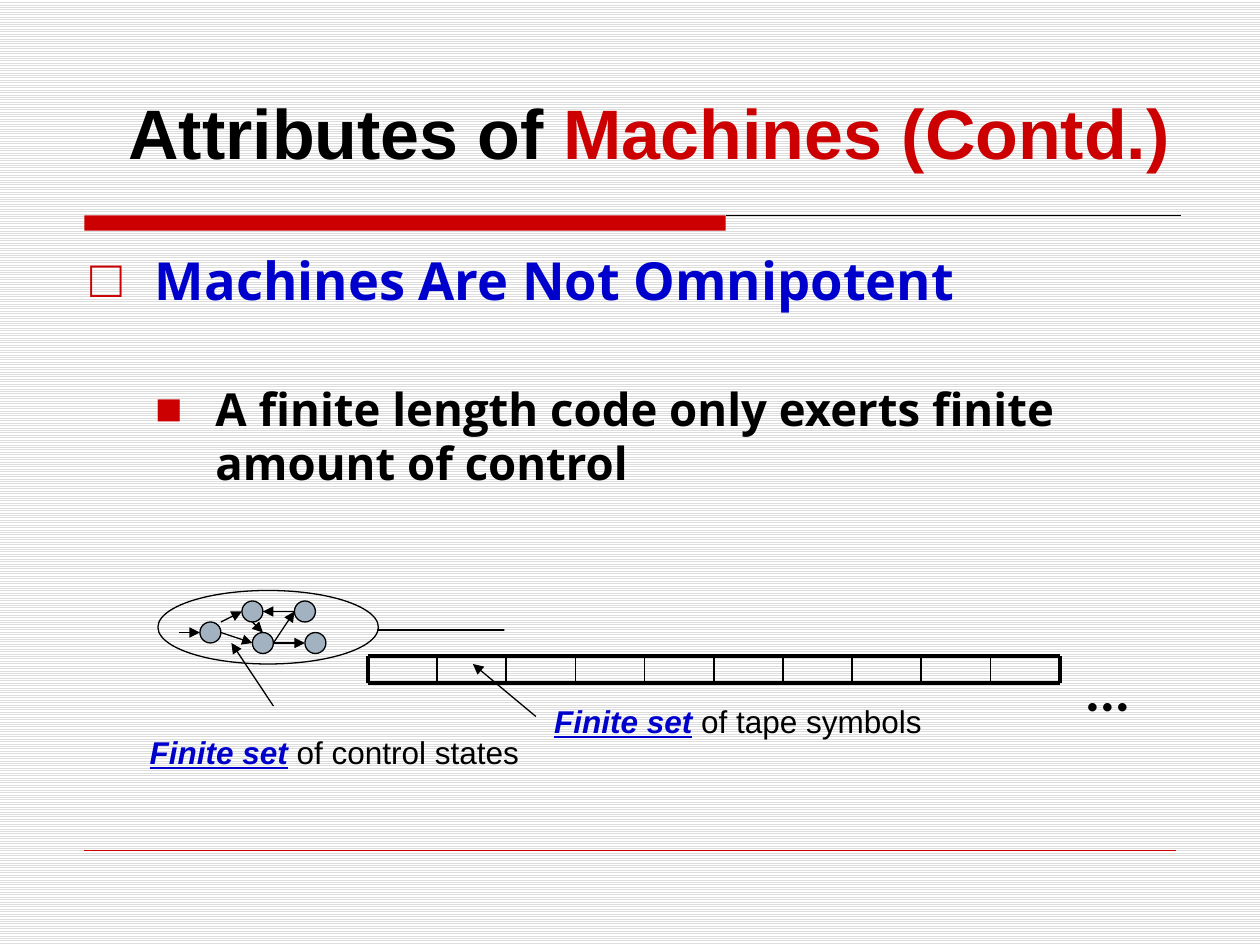
from dataclasses import dataclass
from lxml import etree
from pptx import Presentation, util as u
from pptx.dml.color import RGBColor
from pptx.enum import dml, shapes, text
from pptx.oxml import ns

RED, BLUE, BLACK = "CC0000", "0000CC", "000000"
UNIT, LEFT, TOP = 1 / 12, 1.42, 4.77


@dataclass
class Node:
    col: int
    row: int


@dataclass
class Arrow:
    start: tuple[int, int]
    end: tuple[int, int]


@dataclass
class Label:
    left: float
    top: float
    width: float
    tail: str


@dataclass
class Item:
    words: str
    level: int
    size: int
    pitch: float
    gap: int
    color: str
    margin: float
    hang: float
    mark: str


NODES = [Node(2, 2), Node(6, 0), Node(7, 3), Node(11, 0), Node(12, 3)]
ARROWS = [
    Arrow((4, 2), (6, 1)), Arrow((7, 2), (8, 3)), Arrow((9, 4), (11, 1)),
    Arrow((11, 1), (8, 1)), Arrow((4, 3), (7, 4)), Arrow((0, 3), (2, 3)),
    Arrow((9, 4), (12, 4)), Arrow((9, 10), (5, 4)), Arrow((34, 11), (28, 6)),
]
LABELS = [
    Label(4.3, 5.52, 3.12, " of tape symbols"),
    Label(1.09, 5.77, 3.13, " of control states"),
]
ITEMS = [
    Item("Machines Are Not Omnipotent\v", 0, 30, 35.6, 6, BLUE, 0.51, 0.51, "□"),
    Item("A finite length code only exerts finite amount of control",
         1, 26, 30.9, 5, BLACK, 0.99, 0.48, "■"),
]

deck = Presentation()
deck.slide_width, deck.slide_height = u.Inches(10), u.Inches(7.5)
slide = deck.slides.add_slide(deck.slide_layouts[1])


def tint(code: str) -> RGBColor:
    return RGBColor.from_string(code)


def spot(col: float, row: float) -> tuple[float, float]:
    return LEFT + col * UNIT, TOP + row * UNIT


def place(shape, left: float, top: float, width: float, height: float) -> None:
    shape.left, shape.top = u.Inches(left), u.Inches(top)
    shape.width, shape.height = u.Inches(width), u.Inches(height)


def style(font, size: float, color: str, face: str = "Arial", bold: bool = True) -> None:
    font.size, font.name, font.bold = u.Pt(size), face, bold
    font.color.rgb = tint(color)


def paint(shape, fill: str | None, edge: str | None = BLACK) -> None:
    shape.shadow.inherit = False
    if fill:
        shape.fill.solid()
        shape.fill.fore_color.rgb = tint(fill)
    else:
        shape.fill.background()
    if edge:
        shape.line.color.rgb = tint(edge)
        shape.line.width = u.Pt(0.75)
    else:
        shape.line.fill.background()


def rule(start: tuple, end: tuple, width: float, color: str = BLACK, head: bool = False) -> None:
    line = slide.shapes.add_connector(
        shapes.MSO_CONNECTOR.STRAIGHT, *(u.Inches(v) for v in (*start, *end)))
    line.line.color.rgb = tint(color)
    line.line.width = u.Pt(width)
    if head:
        etree.SubElement(line.line._get_or_add_ln(), ns.qn("a:tailEnd"), type="triangle")
    etree.SubElement(line._element.spPr, ns.qn("a:effectLst"))


def oval(col: float, row: float, wide: float, high: float, fill: str | None) -> None:
    shape = slide.shapes.add_shape(shapes.MSO_SHAPE.OVAL, 0, 0, 0, 0)
    place(shape, *spot(col, row), wide * UNIT, high * UNIT)
    paint(shape, fill)


def box(left: float, top: float, width: float, height: float):
    shape = slide.shapes.add_textbox(0, 0, 0, 0)
    place(shape, left, top, width, height)
    shape.text_frame.word_wrap = False
    return shape.text_frame.paragraphs[0]


def bullet(para, item: Item) -> None:
    para.text, para.level = item.words, item.level
    para.line_spacing, para.space_before = u.Pt(item.pitch), u.Pt(item.gap)
    style(para.font, item.size, item.color, "Open Sans")
    for run in para.runs:
        style(run.font, item.size, item.color, "Open Sans")
    props = para._p.get_or_add_pPr()
    props.set("marL", str(u.Inches(item.margin)))
    props.set("indent", str(-u.Inches(item.hang)))
    mark = etree.Element(ns.qn("a:buClr"))
    etree.SubElement(mark, ns.qn("a:srgbClr"), val=RED)
    char = etree.Element(ns.qn("a:buChar"), char=item.mark)
    at = list(props).index(props.find(ns.qn("a:spcBef"))) + 1
    props.insert(at, mark)
    props.insert(at + 1, char)


back = slide.background.fill
back.patterned()
back.pattern = dml.MSO_PATTERN.LIGHT_HORIZONTAL
back.fore_color.rgb, back.back_color.rgb = tint("DDDDDD"), tint("FFFFFF")

bar = slide.shapes.add_shape(shapes.MSO_SHAPE.RECTANGLE, 0, 0, 0, 0)
place(bar, 0.67, 1.71, 5.09, 0.12)
paint(bar, RED, None)
rule((5.76, 1.71), (9.37, 1.71), 0.75)
rule((0.67, 6.75), (9.33, 6.75), 0.25, RED)

title = slide.shapes.title
place(title, 0.92, 0.66, 8.47, 0.77)
frame = title.text_frame
frame.auto_size, frame.word_wrap = text.MSO_AUTO_SIZE.NONE, False
frame.vertical_anchor = text.MSO_ANCHOR.TOP
head = frame.paragraphs[0]
head.alignment = text.PP_ALIGN.LEFT
for words, color in (("Attributes of ", BLACK), ("Machines (Contd.)", RED)):
    run = head.add_run()
    run.text = words
    style(run.font, 40, color)

body = slide.placeholders[1]
place(body, 0.62, 1.92, 8.75, 4.67)
frame = body.text_frame
frame.auto_size = text.MSO_AUTO_SIZE.NONE
for n, item in enumerate(ITEMS):
    bullet(frame.add_paragraph() if n else frame.paragraphs[0], item)

CELLS, WEST, EAST, ROOF, FLOOR = 10, 2.92, 8.41, 5.21, 5.42
for y in (ROOF, FLOOR):
    rule((WEST, y), (EAST, y), 2.25)
for n in range(CELLS + 1):
    x = WEST + n * (EAST - WEST) / CELLS
    rule((x, ROOF), (x, FLOOR), 2.25 if n in (0, CELLS) else 1)

dots = box(8.52, 5.15, 0.64, 0.63)
dots.text = "…"
style(dots.font, 32, BLACK, "Lato")

BEND = [(3.72, 5.2), (3.43, 5.12), (3.58, 5.12), (3.58, 5.02), (3.01, 5.02),
        (3.01, 4.93), (3.86, 4.93), (3.86, 5.12), (4, 5.12)]
path = slide.shapes.build_freeform(*BEND[0], scale=u.Inches(1))
path.add_line_segments(BEND[1:], close=True)
paint(path.convert_to_shape(), "99CCFF")

oval(-2, -1, 21, 7, None)
for node in NODES:
    oval(node.col, node.row, 2, 2, "A3B2C1")
for arrow in ARROWS:
    rule(spot(*arrow.start), spot(*arrow.end), 0.75, head=True)

for label in LABELS:
    para = box(label.left, label.top, label.width, 0.4)
    for words, color, strong in (("Finite set", BLUE, True), (label.tail, BLACK, False)):
        run = para.add_run()
        run.text = words
        style(run.font, 18, color, bold=strong)
        run.font.italic = run.font.underline = strong

deck.save("out.pptx")
